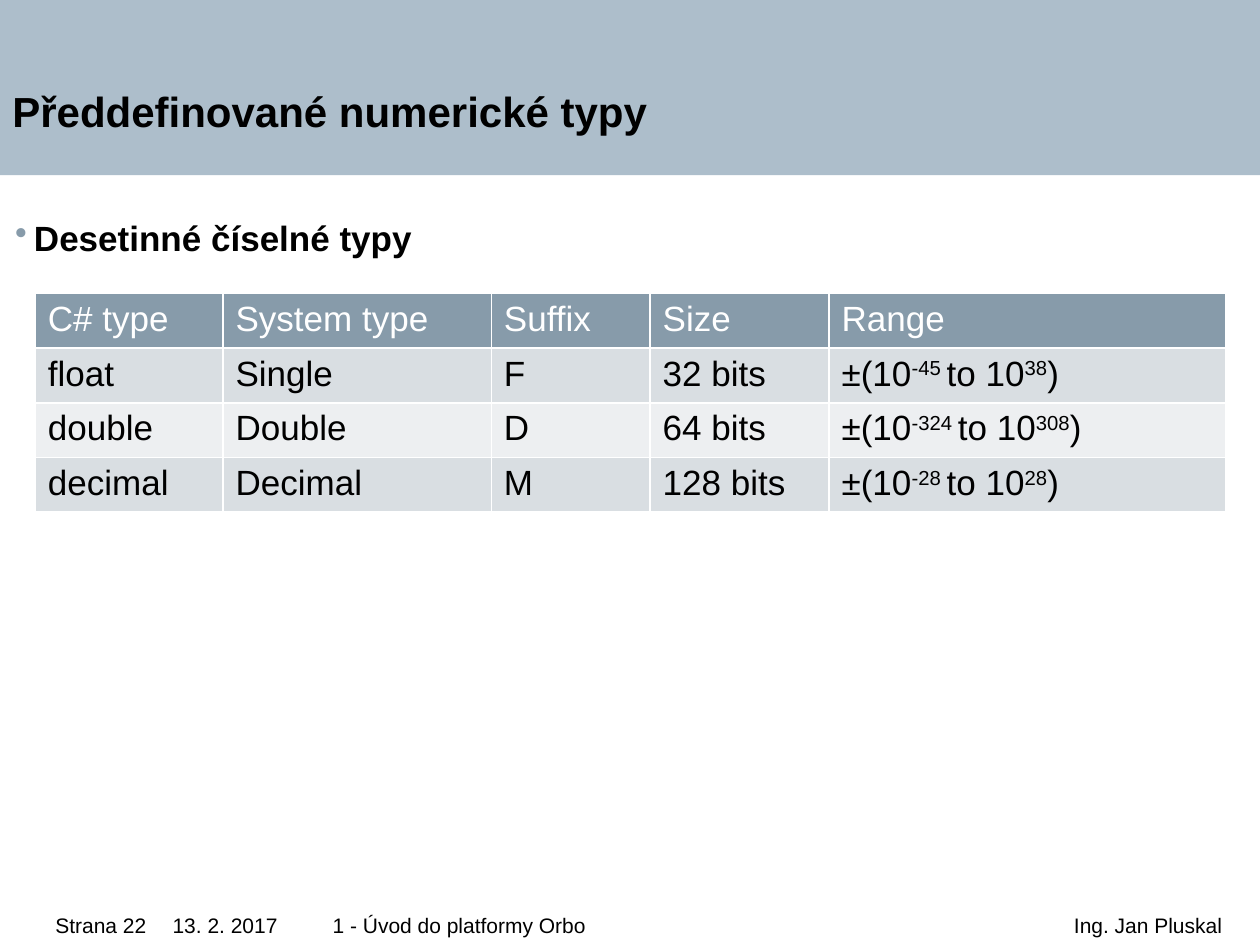
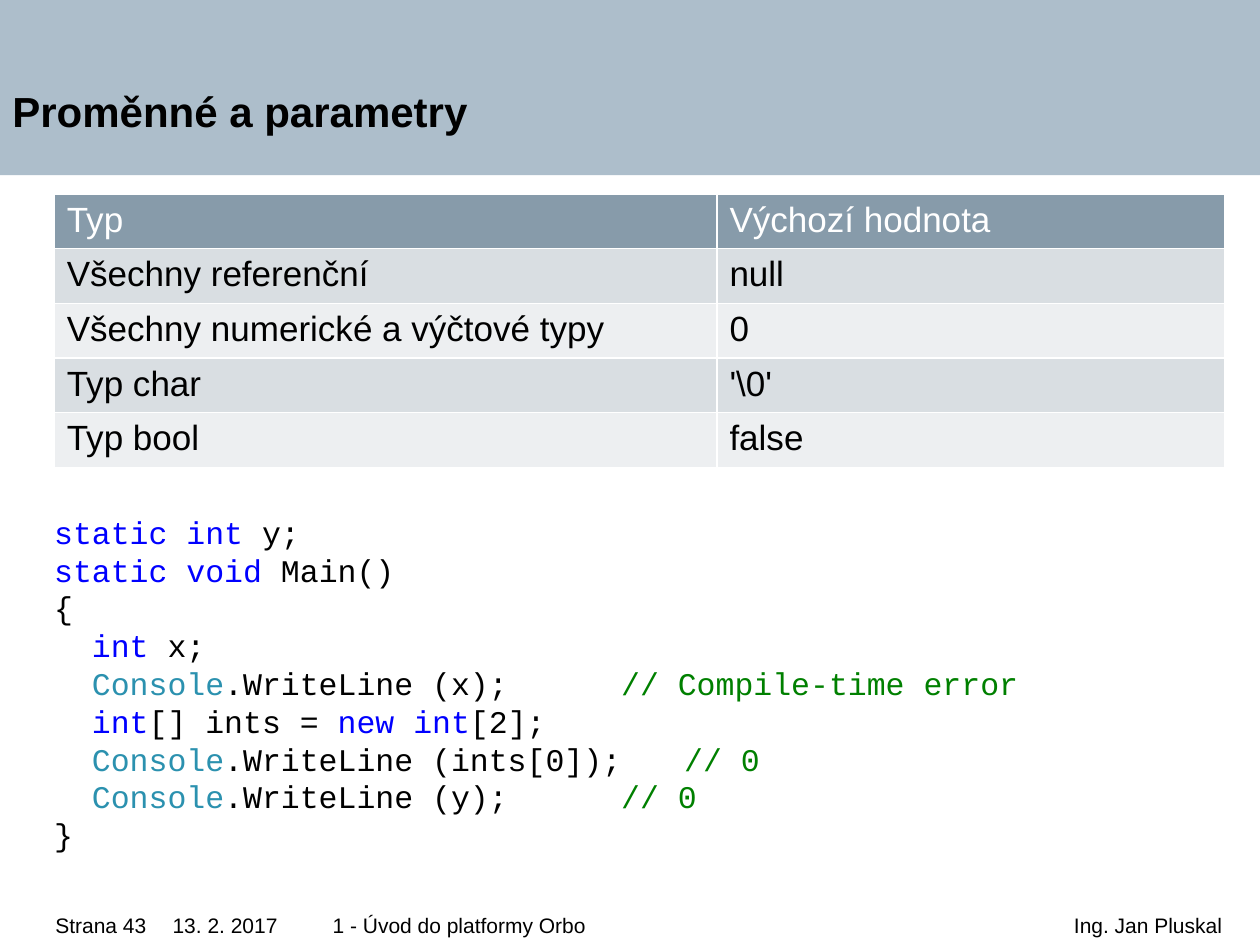
from dataclasses import dataclass

from lxml.etree import SubElement
from pptx import Presentation
from pptx.dml.color import RGBColor as Rgb
from pptx.enum.shapes import MSO_SHAPE as Shape
from pptx.enum.text import MSO_ANCHOR as Anchor, PP_ALIGN as Align
from pptx.oxml.ns import qn
from pptx.util import Inches, Pt


@dataclass(frozen=True)
class Theme:
    font: str = "Arial"
    code_font: str = "Courier New"
    title_size: int = 24
    body_size: int = 20
    code_size: int = 18
    footer_size: int = 12
    band: str = "ADBECB"
    accent: str = "879BAA"
    odd_row: str = "D9DEE2"
    even_row: str = "EDEFF1"
    text: str = "000000"
    white: str = "FFFFFF"
    keyword: str = "0000FF"
    type_name: str = "2B91AF"
    comment: str = "008000"


THEME = Theme()

FOOTER_TOP, FOOTER_HEIGHT = 7.22, 0.28
ROW_HEIGHT = 0.41

FLOAT_TYPES = [
    ["C# type", "System type", "Suffix", "Size", "Range"],
    ["float", "Single", "F", "32 bits", ("-45", "38")],
    ["double", "Double", "D", "64 bits", ("-324", "308")],
    ["decimal", "Decimal", "M", "128 bits", ("-28", "28")],
]

DEFAULT_VALUES = [
    ["Typ", "Výchozí hodnota"],
    ["Všechny referenční", "null"],
    ["Všechny numerické a výčtové typy", "0"],
    ["Typ char", r"'\0'"],
    ["Typ bool", "false"],
]

PLAIN, KEYWORD, TYPE, COMMENT = THEME.text, THEME.keyword, THEME.type_name, THEME.comment
CODE_LINES = [
    [("static int", KEYWORD), (" y;", PLAIN)],
    [("static void", KEYWORD), (" Main()", PLAIN)],
    [("{", PLAIN)],
    [("  ", PLAIN), ("int", KEYWORD), (" x;", PLAIN)],
    [("  ", PLAIN), ("Console", TYPE), (".WriteLine (x); \t\t", PLAIN),
     ("// Compile-time error", COMMENT)],
    [("  ", PLAIN), ("int", KEYWORD), ("[] ints = ", PLAIN),
     ("new int", KEYWORD), ("[2];", PLAIN)],
    [("  ", PLAIN), ("Console", TYPE), (".WriteLine (ints[0]); \t", PLAIN),
     ("// 0", COMMENT)],
    [("  ", PLAIN), ("Console", TYPE), (".WriteLine (y); \t\t", PLAIN),
     ("// 0", COMMENT)],
    [("}", PLAIN)],
]


def style_run(run, size, color=THEME.text, bold=False, font=THEME.font):
    run.font.name = font
    run.font.size = Pt(size)
    run.font.bold = bold
    run.font.color.rgb = Rgb.from_string(color)


def add_text_frame(slide, left, top, width, height, margins=(0, 0, 0, 0), wrap=True):
    frame = slide.shapes.add_textbox(
        Inches(left), Inches(top), Inches(width), Inches(height)).text_frame
    frame.word_wrap = wrap
    (frame.margin_left, frame.margin_top,
     frame.margin_right, frame.margin_bottom) = map(Inches, margins)
    return frame


def add_band(slide):
    band = slide.shapes.add_shape(Shape.RECTANGLE, 0, 0, Inches(10), Inches(1.39))
    band.shadow.inherit = False
    band.fill.solid()
    band.fill.fore_color.rgb = Rgb.from_string(THEME.band)
    band.line.fill.background()


def add_title(slide, title):
    frame = add_text_frame(slide, 0, 0, 6.55, 1.38, (0.1, 0.1, 0.8, 0.3))
    frame.vertical_anchor = Anchor.BOTTOM
    frame.text = title
    style_run(frame.paragraphs[0].runs[0], THEME.title_size, bold=True)


def add_footer(slide, page):
    entries = [
        ("13. 2. 2017", 0.16, 2.79, 1.21, 0, Align.LEFT),
        (f"Strana {page}", 0, 1.37, 0.44, 0, Align.LEFT),
        ("Ing. Jan Pluskal", 2.95, 7.05, 0, 0.3, Align.RIGHT),
        ("1 - Úvod do platformy Orbo", 2.64, 3.58, 0, 0.3, Align.LEFT),
    ]
    for text, left, width, indent, right_margin, align in entries:
        frame = add_text_frame(slide, left, FOOTER_TOP, width, FOOTER_HEIGHT,
                               (indent, 0, right_margin, 0.09))
        frame.text = text
        entry = frame.paragraphs[0]
        entry.alignment = align
        entry.line_spacing = 1.1
        style_run(entry.runs[0], THEME.footer_size)


def add_bullet(slide, text):
    frame = add_text_frame(slide, 0.12, 1.55, 9.76, 0.6)
    frame.text = text
    point = frame.paragraphs[0]
    point.line_spacing = 1.5
    style_run(point.runs[0], THEME.body_size, bold=True)
    properties = point._p.get_or_add_pPr()
    properties.set("marL", str(Inches(0.15)))
    properties.set("indent", str(-Inches(0.15)))
    bullet_color = SubElement(properties, qn("a:buClr"))
    SubElement(bullet_color, qn("a:srgbClr"), val=THEME.accent)
    SubElement(properties, qn("a:buChar"), char="•")


def add_borders(cell):
    properties = cell._tc.get_or_add_tcPr()
    for side in ("lnL", "lnR", "lnT", "lnB"):
        border = SubElement(properties, qn(f"a:{side}"), w=str(Pt(1)))
        border_fill = SubElement(border, qn("a:solidFill"))
        SubElement(border_fill, qn("a:srgbClr"), val=THEME.white)


def write_range(paragraph, low, high):
    for part in ("±(10", f"{low} ", "to 10", high, ")"):
        run = paragraph.add_run()
        run.text = part
        if part.strip() in (low, high):
            run._r.get_or_add_rPr().set("baseline", "30000")


def add_type_table(slide, rows, left, top, column_widths):
    table = slide.shapes.add_table(
        len(rows), len(column_widths), Inches(left), Inches(top),
        Inches(sum(column_widths)), Inches(ROW_HEIGHT * len(rows))).table
    for column, width in zip(table.columns, column_widths):
        column.width = Inches(width)
    for row_index, values in enumerate(rows):
        if row_index == 0:
            fill, color = THEME.accent, THEME.white
        else:
            fill = THEME.odd_row if row_index % 2 else THEME.even_row
            color = THEME.text
        for column_index, value in enumerate(values):
            cell = table.cell(row_index, column_index)
            add_borders(cell)
            cell.fill.solid()
            cell.fill.fore_color.rgb = Rgb.from_string(fill)
            content = cell.text_frame.paragraphs[0]
            if isinstance(value, tuple):
                write_range(content, *value)
            else:
                content.text = value
            for run in content.runs:
                style_run(run, THEME.body_size, color)


def add_code(slide, lines):
    frame = add_text_frame(slide, 0.43, 4.07, 9.13, 2.83, (0, 0, 0.41, 0.13), wrap=False)
    for index, tokens in enumerate(lines):
        line = frame.add_paragraph() if index else frame.paragraphs[0]
        for text, color in tokens:
            run = line.add_run()
            run.text = text
            style_run(run, THEME.code_size, color, font=THEME.code_font)


def add_lecture_slide(deck, title, page):
    slide = deck.slides.add_slide(deck.slide_layouts[6])
    add_band(slide)
    add_footer(slide, page)
    add_title(slide, title)
    return slide


def main():
    deck = Presentation()
    deck.slide_width, deck.slide_height = Inches(10), Inches(7.5)

    numeric = add_lecture_slide(deck, "Předdefinované numerické typy", 22)
    add_bullet(numeric, "Desetinné číselné typy")
    add_type_table(numeric, FLOAT_TYPES, 0.28, 2.33, (1.49, 2.13, 1.26, 1.42, 3.15))

    variables = add_lecture_slide(deck, "Proměnné a parametry", 43)
    add_type_table(variables, DEFAULT_VALUES, 0.43, 1.54, (5.26, 4.03))
    add_code(variables, CODE_LINES)

    deck.save("out.pptx")


if __name__ == "__main__":
    main()
